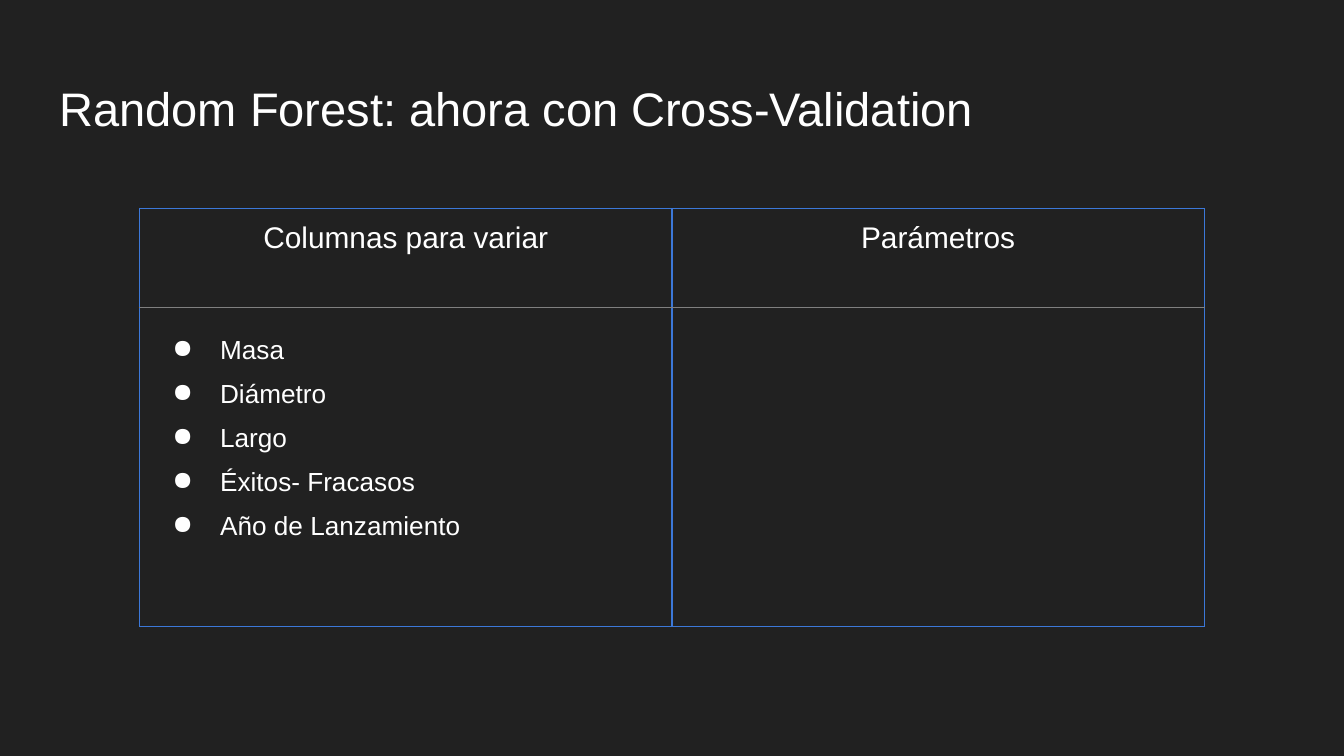
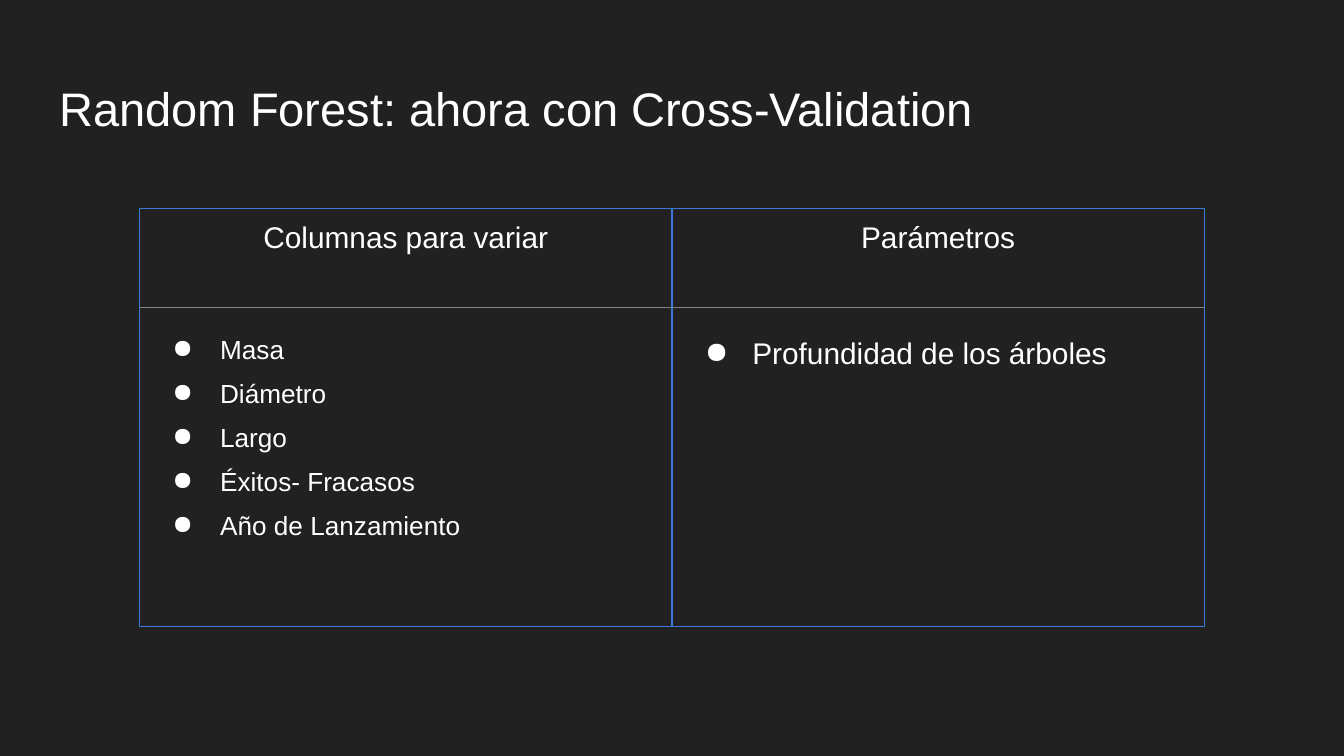
from dataclasses import dataclass

from lxml.etree import SubElement
from pptx import Presentation
from pptx.dml.color import RGBColor
from pptx.enum.text import MSO_ANCHOR, PP_ALIGN
from pptx.oxml.ns import qn
from pptx.util import Cm, Pt


@dataclass(frozen=True)
class Theme:
    font: str = "Arial"
    background: str = "212121"
    text: str = "FFFFFF"
    border: str = "3C78D8"
    divider: str = "808080"
    title_size: float = 25.2
    header_size: float = 16
    list_size: float = 14
    border_width: float = 0.75
    divider_width: float = 0.5
    inset: float = 0.25


@dataclass(frozen=True)
class Box:
    left: float
    top: float
    width: float
    height: float

    def lengths(self):
        return [Cm(value) for value in (self.left, self.top, self.width, self.height)]


THEME = Theme()
PAGE_WIDTH, PAGE_HEIGHT = 25.4, 14.29
TITLE_BOX = Box(0.87, 1.24, 23.67, 1.6)
TABLE_BOX = Box(2.64, 3.94, 20.12, 7.9)
HEADER_HEIGHT = 1.88

TITLE = "Random Forest: ahora con Cross-Validation"
HEADERS = ["Columnas para variar", "Parámetros"]
VARIABLES = ["Masa", "Diámetro", "Largo", "Éxitos- Fracasos", "Año de Lanzamiento"]
PARAMETERS = ["Profundidad de los árboles"]


def set_insets(target):
    for side in ("left", "right", "top", "bottom"):
        setattr(target, f"margin_{side}", Cm(THEME.inset))


def style_paragraph(paragraph, size):
    for span in paragraph.runs:
        span.font.name = THEME.font
        span.font.size = Pt(size)
        span.font.color.rgb = RGBColor.from_string(THEME.text)


def add_bullet(paragraph):
    properties = paragraph._p.get_or_add_pPr()
    properties.set("marL", str(Cm(1.27)))
    properties.set("indent", str(Cm(-0.9)))
    colour = SubElement(properties, qn("a:buClr"))
    SubElement(colour, qn("a:srgbClr")).set("val", THEME.text)
    SubElement(properties, qn("a:buChar")).set("char", "●")


def set_border(cell, side, colour, width):
    """Draw one edge of a cell; side is L, R, T or B."""
    line = SubElement(cell._tc.get_or_add_tcPr(), qn(f"a:ln{side}"), w=str(Pt(width)))
    fill = SubElement(line, qn("a:solidFill"))
    SubElement(fill, qn("a:srgbClr")).set("val", colour)


def style_cell(cell, inner_side):
    """Frame a cell in blue, with a thin divider on its inner side."""
    for side in "LRTB":
        if side == inner_side:
            set_border(cell, side, THEME.divider, THEME.divider_width)
        else:
            set_border(cell, side, THEME.border, THEME.border_width)
    cell.fill.background()
    set_insets(cell)


def fill_list(cell, items, size):
    cell.text_frame.text = "\n".join(items)
    for paragraph in cell.text_frame.paragraphs:
        if paragraph.runs:
            paragraph.line_spacing = 1.5
            add_bullet(paragraph)
            style_paragraph(paragraph, size)


def add_title(page, box):
    frame = page.shapes.add_textbox(*box.lengths()).text_frame
    frame.word_wrap = True
    frame.vertical_anchor = MSO_ANCHOR.MIDDLE
    set_insets(frame)
    frame.text = TITLE
    style_paragraph(frame.paragraphs[0], THEME.title_size)


def add_comparison_table(page, box, lists):
    """Place one column per header; lists holds (items, type size) pairs."""
    table = page.shapes.add_table(2, len(HEADERS), *box.lengths()).table
    table.first_row = table.horz_banding = False
    table.rows[0].height = Cm(HEADER_HEIGHT)
    table.rows[1].height = Cm(box.height - HEADER_HEIGHT)
    for index, (header, (items, size)) in enumerate(zip(HEADERS, lists)):
        table.columns[index].width = Cm(box.width / len(HEADERS))
        header_cell, list_cell = table.cell(0, index), table.cell(1, index)
        style_cell(header_cell, "B")
        style_cell(list_cell, "T")
        header_cell.text_frame.text = header
        paragraph = header_cell.text_frame.paragraphs[0]
        paragraph.alignment = PP_ALIGN.CENTER
        style_paragraph(paragraph, THEME.header_size)
        fill_list(list_cell, items, size)


def add_validation_page(deck, parameters):
    page = deck.slides.add_slide(deck.slide_layouts[6])
    page.background.fill.solid()
    page.background.fill.fore_color.rgb = RGBColor.from_string(THEME.background)
    add_title(page, TITLE_BOX)
    lists = [(VARIABLES, THEME.list_size), (parameters, THEME.header_size)]
    add_comparison_table(page, TABLE_BOX, lists)


def main():
    deck = Presentation()
    deck.slide_width, deck.slide_height = Cm(PAGE_WIDTH), Cm(PAGE_HEIGHT)
    for parameters in ([], PARAMETERS):
        add_validation_page(deck, parameters)
    deck.save("out.pptx")


if __name__ == "__main__":
    main()
